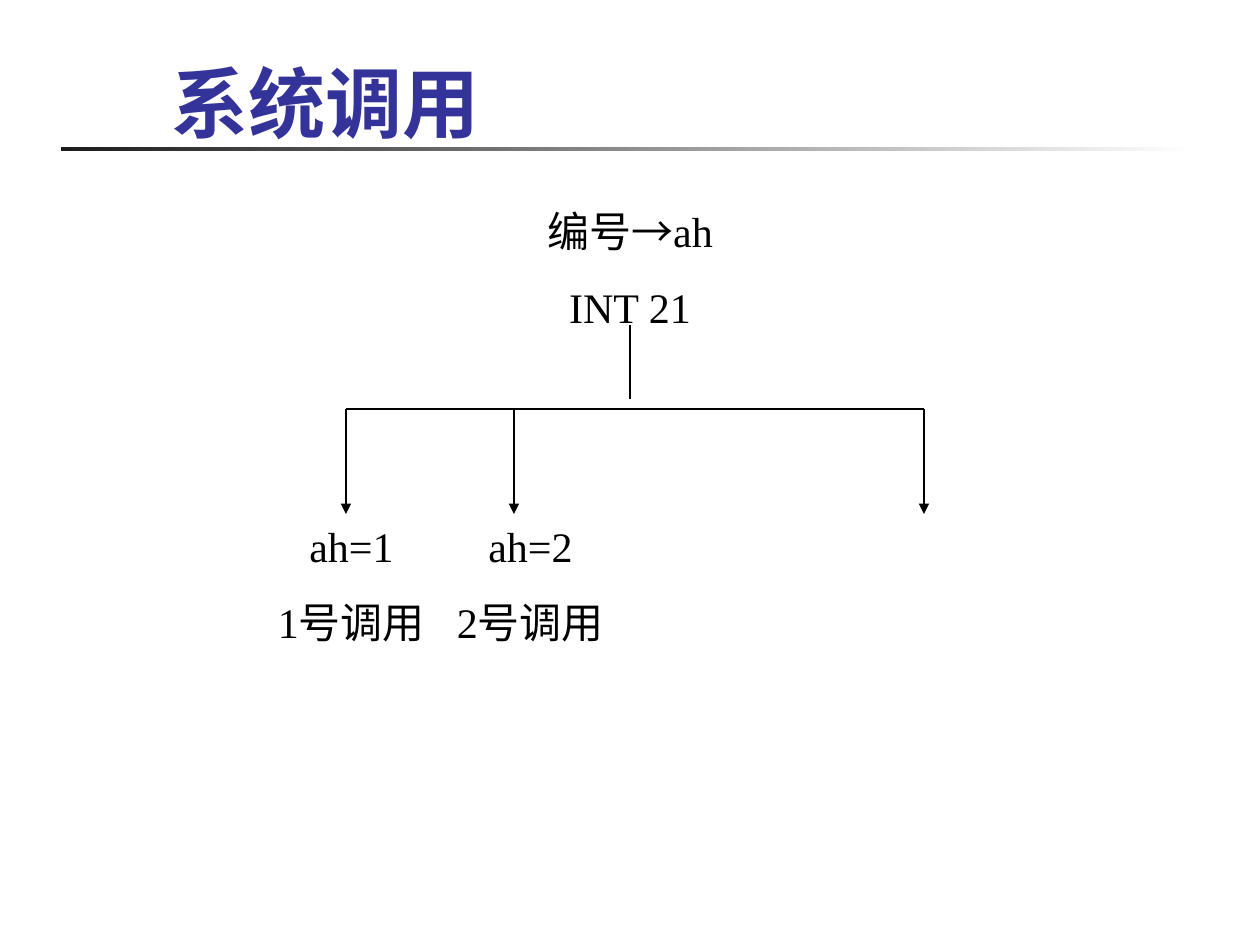
from lxml.etree import SubElement
from pptx import Presentation
from pptx.dml.color import RGBColor
from pptx.enum.shapes import MSO_CONNECTOR as Connector, MSO_SHAPE as Shape
from pptx.enum.text import MSO_ANCHOR as Anchor, MSO_AUTO_SIZE as AutoSize, PP_ALIGN as Align
from pptx.oxml.ns import qn
from pptx.util import Pt

SCALE = 914400 / 126
BLACK = RGBColor(0x00, 0x00, 0x00)
WHITE = RGBColor(0xFF, 0xFF, 0xFF)
CHARCOAL = RGBColor(0x1C, 0x1C, 0x1C)
INDIGO = RGBColor(0x33, 0x33, 0x99)
SERIF = "Times New Roman"


def px(*lengths):
    return [round(length * SCALE) for length in lengths]


def add_span(para, text, font=SERIF, size=24, color=BLACK, bold=False):
    span = para.add_run()
    span.text = text
    span.font.name = font
    span.font.size = Pt(size)
    span.font.color.rgb = color
    span.font.bold = bold


def add_label(page, left, top, width, height, lines):
    frame = page.shapes.add_textbox(*px(left, top, width, height)).text_frame
    frame.word_wrap = True
    frame.auto_size = AutoSize.SHAPE_TO_FIT_TEXT
    for index, spans in enumerate(lines):
        para = frame.add_paragraph() if index else frame.paragraphs[0]
        para.alignment = Align.CENTER
        para.space_before = Pt(15)
        for text, font in spans:
            add_span(para, text, font=font)


def add_line(page, x1, y1, x2, y2, arrow=False):
    line = page.shapes.add_connector(Connector.STRAIGHT, *px(x1, y1, x2, y2))
    line.line.color.rgb = BLACK
    line.line.width = Pt(0.75)
    if arrow:
        SubElement(line.line._get_or_add_ln(), qn("a:tailEnd"), type="triangle")
    SubElement(line._element.spPr, qn("a:effectLst"))


def add_heading(page, left, top, width, height):
    title = page.shapes.title
    title.left, title.top, title.width, title.height = px(left + 98, top, 372, height)
    frame = title.text_frame
    frame.auto_size = AutoSize.NONE
    frame.vertical_anchor = Anchor.BOTTOM
    para = frame.paragraphs[0]
    para.alignment = Align.LEFT
    add_span(para, "系统调用", font="Lato", size=44, color=INDIGO, bold=True)

    rule = page.shapes.add_shape(Shape.RECTANGLE, *px(left, top + height - 7, width, 4))
    rule.shadow.inherit = False
    rule.line.fill.background()
    rule.fill.gradient()
    rule.fill.gradient_angle = 0
    for stop, color, position in zip(rule.fill.gradient_stops, (CHARCOAL, WHITE), (0, 1)):
        stop.color.rgb = color
        stop.position = position


def add_call_tree(page, left, top, width):
    right, center = left + width, left + 368
    bus, tips = top + 210, top + 315
    add_label(page, center - 210, top, 420, 140,
              [[("编号", SERIF), ("→", "Arial"), ("ah", SERIF)], [("INT 21", SERIF)]])
    add_line(page, center, top + 126, center, top + 200)
    add_line(page, left + 84, bus, right, bus)
    for x in (left + 84, left + 252, right):
        add_line(page, x, bus, x, tips, arrow=True)
    for number in (1, 2):
        add_label(page, left + 179 * (number - 1), tips, 179, 190,
                  [[(f"ah={number}", SERIF)], [(f"{number}号调用", SERIF)]])


def main():
    deck = Presentation()
    deck.slide_width, deck.slide_height = px(1260, 945)
    page = deck.slides.add_slide(deck.slide_layouts[5])
    add_heading(page, 61, 28, 1134, 126)
    add_call_tree(page, 262, 199, 662)
    deck.save("out.pptx")


if __name__ == "__main__":
    main()
